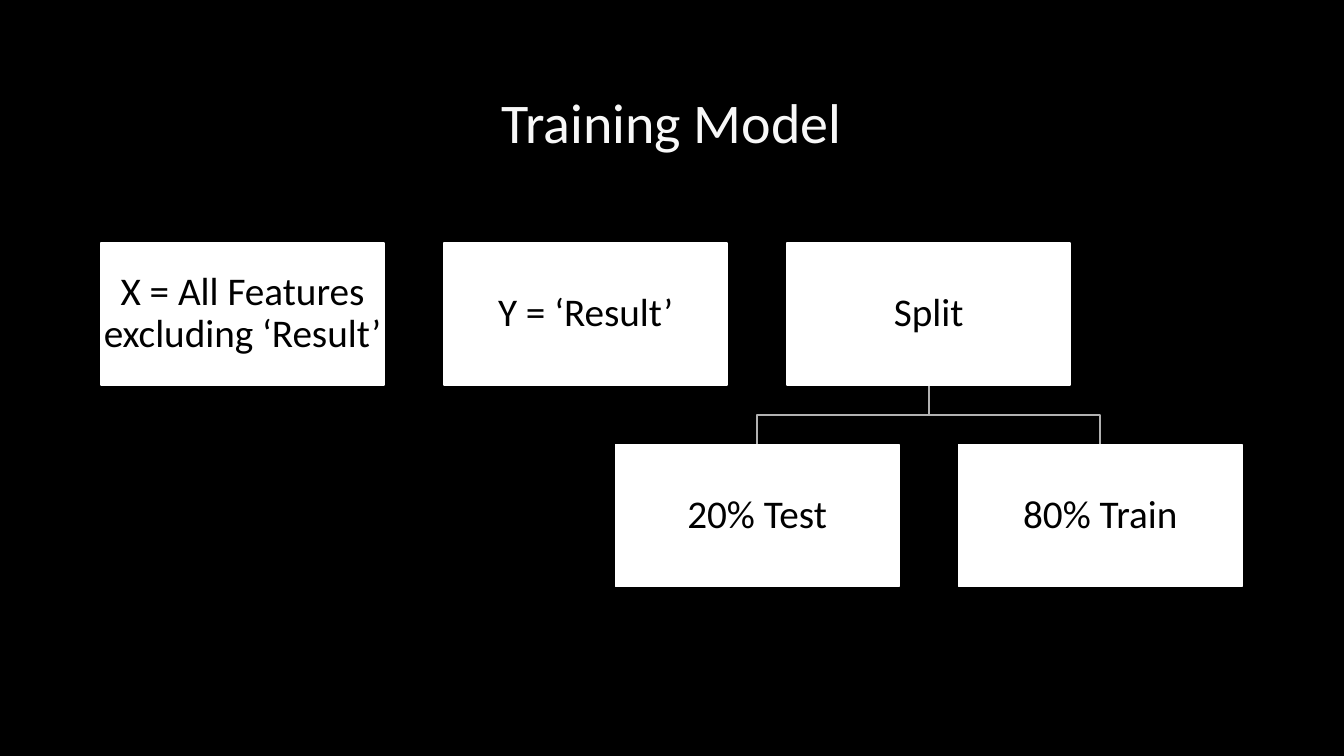
from pptx import Presentation
from pptx.dml.color import RGBColor
from pptx.enum import shapes, text
from pptx.util import Inches, Pt

FONT = "Calibri"
BOX_W, BOX_H = 2.81, 1.41
LEFT, STEP = 1, 3.403
TOP_ROW, BOTTOM_ROW = 2.41, 4.41


def color(value):
    return RGBColor.from_string(value)


def write(sp, words, size, hex_color):
    tf = sp.text_frame
    tf.word_wrap = True
    tf.vertical_anchor = text.MSO_ANCHOR.MIDDLE
    p = tf.paragraphs[0]
    p.text = words
    p.alignment = text.PP_ALIGN.CENTER
    p.font.name = FONT
    p.font.size = Pt(size)
    p.font.color.rgb = color(hex_color)
    return tf


def add_title(s, words):
    sp = s.shapes.add_textbox(Inches(1), Inches(0.67), Inches(11.32), Inches(1.06))
    write(sp, words, 40, "F8F8F8")


def add_box(s, column, top, words):
    sp = s.shapes.add_shape(
        shapes.MSO_SHAPE.RECTANGLE,
        Inches(LEFT + column * STEP), Inches(top), Inches(BOX_W), Inches(BOX_H))
    sp.shadow.inherit = False
    sp.fill.solid()
    sp.fill.fore_color.rgb = color("FFFFFF")
    sp.line.color.rgb = color("FFFFFF")
    sp.line.width = Pt(1.25)
    tf = write(sp, words, 28, "000000")
    tf.margin_left = tf.margin_right = tf.margin_top = tf.margin_bottom = Inches(0.02)
    tf.paragraphs[0].line_spacing = 0.9


def add_branch(s, parent, child):
    """Draw an elbow from the parent column's box down to the child's."""
    x1, x2 = (Inches(LEFT + c * STEP + BOX_W / 2) for c in (parent, child))
    y1, y2 = Inches(TOP_ROW + BOX_H), Inches(BOTTOM_ROW)
    middle = (y1 + y2) // 2
    builder = s.shapes.build_freeform(x1, y1)
    builder.add_line_segments([(x1, middle), (x2, middle), (x2, y2)], close=False)
    sp = builder.convert_to_shape()
    sp.shadow.inherit = False
    sp.fill.background()
    sp.line.color.rgb = color("B1B1B1")
    sp.line.width = Pt(1.25)


def main():
    prs = Presentation()
    prs.slide_width, prs.slide_height = Inches(13.33), Inches(7.5)
    s = prs.slides.add_slide(prs.slide_layouts[6])
    s.background.fill.solid()
    s.background.fill.fore_color.rgb = color("000000")

    add_title(s, "Training Model")

    # Split branches, behind the boxes
    for child in (2.5, 1.5):
        add_branch(s, 2, child)

    # Features, target and split
    for column, words in enumerate(
            ["X = All Features excluding ‘Result’", "Y = ‘Result’", "Split"]):
        add_box(s, column, TOP_ROW, words)

    # Test and train sets, centred half a column either side of the split
    for column, words in ((1.5, "20% Test"), (2.5, "80% Train")):
        add_box(s, column, BOTTOM_ROW, words)

    prs.save("out.pptx")


if __name__ == "__main__":
    main()
